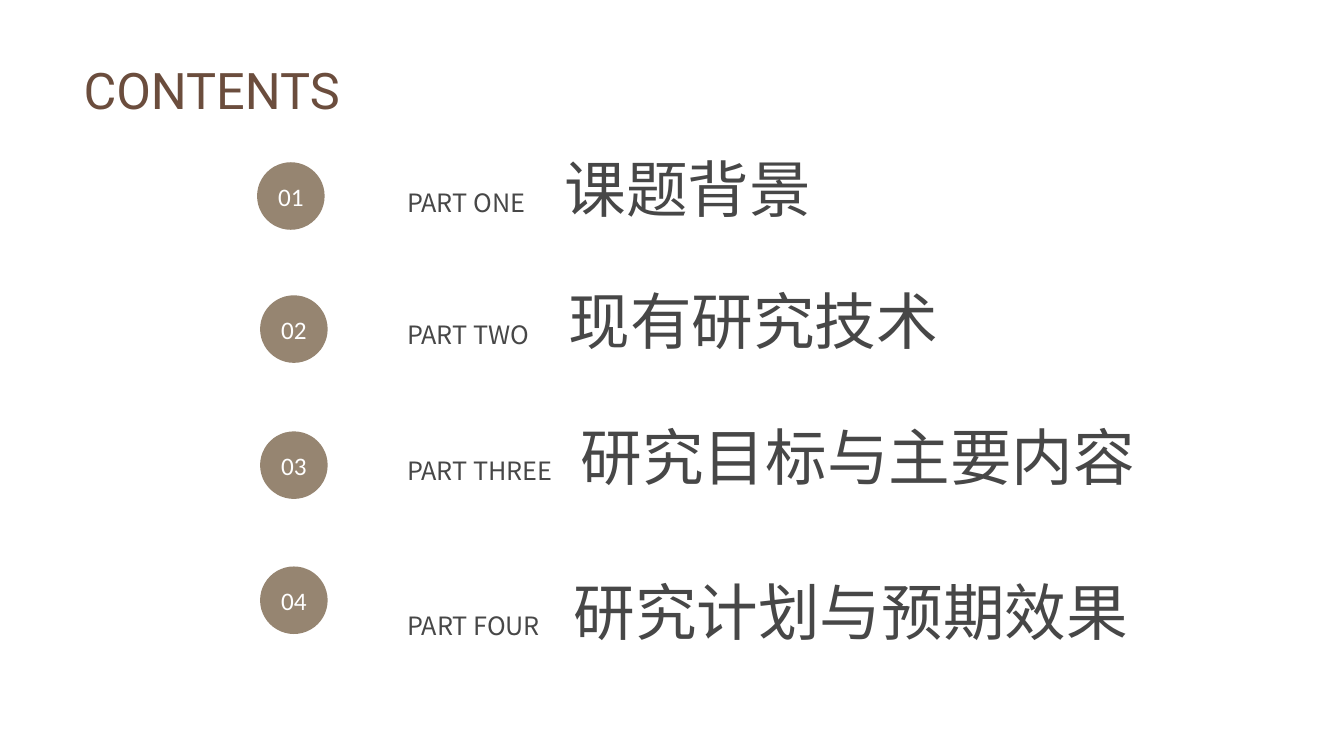
from dataclasses import dataclass

from lxml.etree import SubElement
from pptx import Presentation
from pptx.dml.color import RGBColor
from pptx.enum.shapes import MSO_SHAPE
from pptx.enum.text import MSO_ANCHOR, MSO_AUTO_SIZE, PP_ALIGN
from pptx.oxml.ns import qn
from pptx.util import Inches, Pt


@dataclass(frozen=True)
class Theme:
    heading_color: RGBColor = RGBColor.from_string("6B4D3D")
    circle_color: RGBColor = RGBColor.from_string("968571")
    text_color: RGBColor = RGBColor.from_string("474747")
    number_color: RGBColor = RGBColor.from_string("FFFFFF")
    heading_font: str = "Roboto"
    text_font: str = "Noto Sans CJK SC"
    number_font: str = "Calibri"
    heading_size: int = 36
    part_size: int = 18
    topic_size: int = 44


THEME = Theme()
CIRCLE_SIZE = 0.67
TEXT_LEFT = 3.94


@dataclass(frozen=True)
class Part:
    label: str
    topic: str
    circle_left: float
    circle_top: float
    text_top: float
    text_width: float
    text_height: float
    topic_tab: float
    line_spacing: float = 1.0


PARTS = [
    Part("PART ONE", "课题背景", 2.55, 1.61, 1.45, 4.36, 0.84, 1.56),
    Part("PART TWO", "现有研究技术", 2.58, 2.93, 2.76, 5.66, 0.84, 1.6),
    Part("PART THREE", "研究目标与主要内容", 2.58, 4.28, 4.11, 7.53, 0.84, 1.72),
    Part("PART FOUR", "研究计划与预期效果", 2.58, 5.62, 5.42, 7.52, 1.06, 1.65, 1.3),
]


def set_format(target, values):
    for name, value in values.items():
        setattr(target, name, value)


def add_run(paragraph, text, font_name, size, color):
    """Add a run whose font also covers East Asian characters."""
    run = paragraph.add_run()
    run.text = text
    set_format(run.font, {"name": font_name, "size": Pt(size)})
    run.font.color.rgb = color
    east_asian = SubElement(run.font._element, qn("a:ea"))
    east_asian.set("typeface", font_name)


def add_tab_stop(paragraph, position):
    tab_list = SubElement(paragraph._p.get_or_add_pPr(), qn("a:tabLst"))
    tab = SubElement(tab_list, qn("a:tab"))
    tab.set("pos", str(Inches(position)))
    tab.set("algn", "l")


def add_heading(slide, text):
    title = slide.shapes.title
    set_format(title, {
        "left": Inches(0.68), "top": Inches(0.36),
        "width": Inches(2.84), "height": Inches(0.88),
    })
    set_format(title.text_frame, {
        "word_wrap": True,
        "auto_size": MSO_AUTO_SIZE.NONE,
        "vertical_anchor": MSO_ANCHOR.TOP,
    })
    paragraph = title.text_frame.paragraphs[0]
    set_format(paragraph, {"alignment": PP_ALIGN.CENTER, "line_spacing": 1.3})
    add_run(paragraph, text, THEME.heading_font, THEME.heading_size, THEME.heading_color)


def add_number_circle(slide, number, part):
    circle = slide.shapes.add_shape(
        MSO_SHAPE.OVAL, Inches(part.circle_left), Inches(part.circle_top),
        Inches(CIRCLE_SIZE), Inches(CIRCLE_SIZE))
    circle.shadow.inherit = False
    circle.fill.solid()
    circle.fill.fore_color.rgb = THEME.circle_color
    circle.line.fill.background()
    set_format(circle.text_frame, {
        "margin_left": 0, "margin_right": 0, "margin_top": 0, "margin_bottom": 0,
        "word_wrap": False, "vertical_anchor": MSO_ANCHOR.MIDDLE,
    })
    paragraph = circle.text_frame.paragraphs[0]
    paragraph.alignment = PP_ALIGN.CENTER
    add_run(paragraph, f"{number:02d}", THEME.number_font, THEME.part_size, THEME.number_color)


def add_part_text(slide, part):
    """Add the part label and its topic on one line, parted by a tab."""
    box = slide.shapes.add_textbox(
        Inches(TEXT_LEFT), Inches(part.text_top),
        Inches(part.text_width), Inches(part.text_height))
    box.text_frame.word_wrap = True
    paragraph = box.text_frame.paragraphs[0]
    paragraph.line_spacing = part.line_spacing
    add_tab_stop(paragraph, part.topic_tab)
    add_run(paragraph, part.label + "\t", THEME.text_font, THEME.part_size, THEME.text_color)
    add_run(paragraph, part.topic, THEME.text_font, THEME.topic_size, THEME.text_color)


def main():
    presentation = Presentation()
    set_format(presentation, {"slide_width": Inches(13.33), "slide_height": Inches(7.5)})
    slide = presentation.slides.add_slide(presentation.slide_layouts.get_by_name("Title Only"))
    add_heading(slide, "CONTENTS")
    for number, part in enumerate(PARTS, start=1):
        add_number_circle(slide, number, part)
        add_part_text(slide, part)
    presentation.save("out.pptx")


if __name__ == "__main__":
    main()
